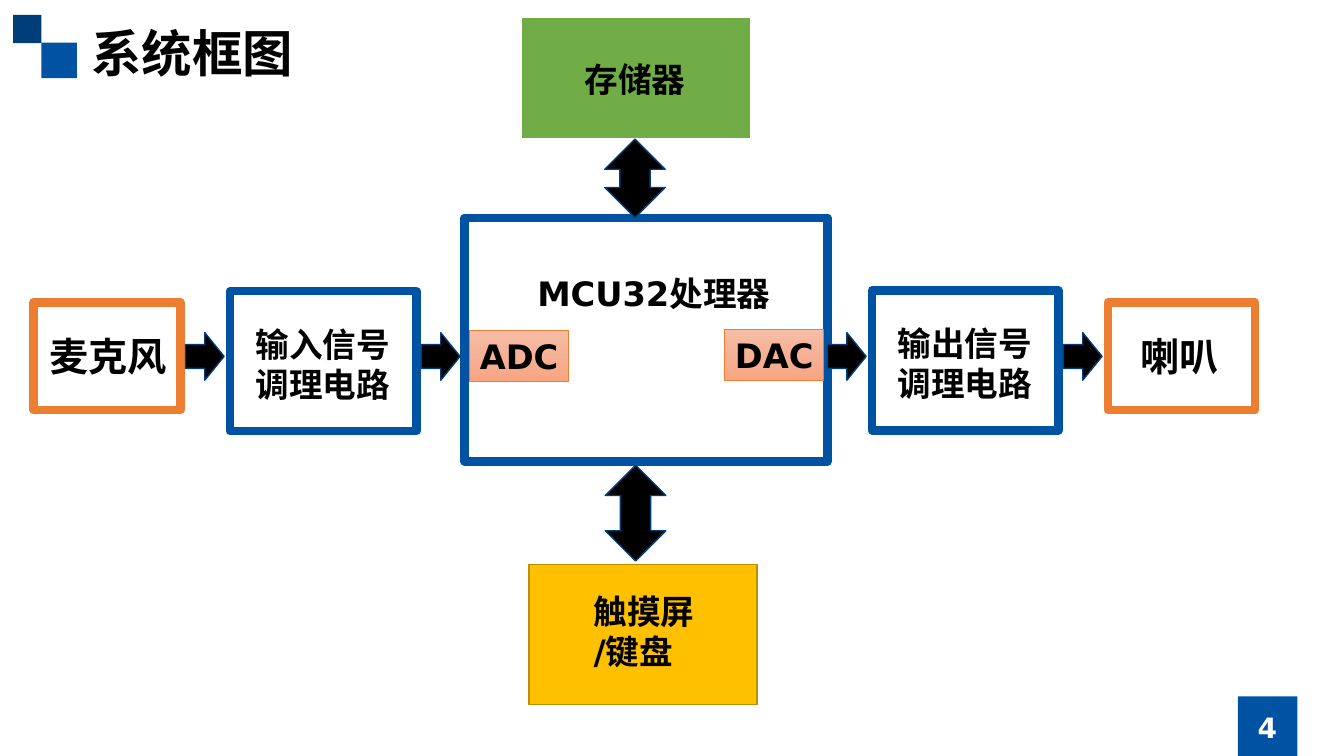
from copy import deepcopy

from lxml.etree import SubElement
from pptx import Presentation
from pptx.dml.color import RGBColor
from pptx.enum.shapes import MSO_SHAPE
from pptx.enum.text import MSO_ANCHOR, PP_ALIGN
from pptx.oxml.ns import qn
from pptx.util import Pt

COLORS = {
    "blue": "0053A3", "navy": "003E7A", "arrow_edge": "003D79",
    "orange": "ED7D31", "green": "70AD47", "yellow": "FFC000",
    "ochre": "BD8E00", "white": "FFFFFF", "black": "000000",
    "peach_light": "F7BDA5", "peach": "F5B196", "peach_dark": "F8A582",
}


def rgb(name):
    return RGBColor.from_string(COLORS[name])


def write_text(frame, text, size=24, color="black", font="DejaVu Sans",
               align=PP_ALIGN.LEFT, anchor=MSO_ANCHOR.TOP, wrap=False):
    frame.word_wrap = wrap
    frame.vertical_anchor = anchor
    for index, line in enumerate(text.split("\n")):
        paragraph = frame.add_paragraph() if index else frame.paragraphs[0]
        paragraph.alignment = align
        run = paragraph.add_run()
        run.text = line
        run.font.size = Pt(size)
        run.font.bold = True
        run.font.name = font
        run.font.color.rgb = rgb(color)
        east_asian = SubElement(run.font._element, qn("a:ea"))
        east_asian.set("typeface", "Noto Sans CJK SC")


class BlockDiagram:
    def __init__(self, slide):
        self.slide = slide

    def block(self, left, top, width, height, fill=None, edge=None,
              edge_width=6, preset=MSO_SHAPE.RECTANGLE):
        shape = self.slide.shapes.add_shape(
            preset, Pt(left), Pt(top), Pt(width), Pt(height))
        shape.shadow.inherit = False
        if fill:
            shape.fill.solid()
            shape.fill.fore_color.rgb = rgb(fill)
        if edge:
            shape.line.color.rgb = rgb(edge)
            shape.line.width = Pt(edge_width)
        else:
            shape.line.fill.background()
        return shape

    def label(self, left, top, width, height, text, **text_format):
        box = self.slide.shapes.add_textbox(
            Pt(left), Pt(top), Pt(width), Pt(height))
        write_text(box.text_frame, text, **text_format)

    def signal_arrow(self, left, top=237.6):
        self.block(left, top, 27.6, 34, "black", "arrow_edge", 1,
                   MSO_SHAPE.RIGHT_ARROW)

    def bus_arrow(self, left, top, length):
        """Vertical two-headed arrow; the place is that of the unturned shape."""
        arrow = self.block(left, top, length, 43.2, "black", "arrow_edge", 1,
                           MSO_SHAPE.LEFT_RIGHT_ARROW)
        arrow.rotation = 270

    def converter(self, left, top, text):
        """Peach gradient block for an on-chip converter."""
        chip = self.block(left, top, 70.6, 36.3, edge="orange", edge_width=0.5)
        chip.fill.gradient()
        chip.fill.gradient_angle = 270
        stop_list = chip._element.spPr.find(".//" + qn("a:gsLst"))
        stop_list.insert(1, deepcopy(stop_list[0]))
        shades = ("peach_light", "peach", "peach_dark")
        for index, (stop, shade) in enumerate(zip(chip.fill.gradient_stops, shades)):
            stop.position = index / 2
            stop.color.rgb = rgb(shade)
        write_text(chip.text_frame, text, align=PP_ALIGN.CENTER)


def build():
    deck = Presentation()
    deck.slide_width, deck.slide_height = Pt(960), Pt(540)
    diagram = BlockDiagram(deck.slides.add_slide(deck.slide_layouts[6]))

    # Title and page number
    diagram.block(29.5, 30.4, 25.4, 25.4, "blue")
    diagram.block(9.3, 10.6, 20.2, 20.2, "navy")
    diagram.block(884.2, 497.4, 42.6, 42.6, "blue")
    diagram.label(58.3, 12.2, 425.5, 51, "系统框图", size=36,
                  font="Noto Sans CJK SC", wrap=True)
    diagram.label(850.5, 505, 109.5, 29, "4", size=20, color="white", wrap=True,
                  align=PP_ALIGN.CENTER, anchor=MSO_ANCHOR.MIDDLE)

    # Sound devices at both ends
    for left, label_left, label_width, device in (
            (23.8, 28.1, 98.6, "麦克风"), (791.3, 807.8, 70.6, "喇叭")):
        diagram.block(left, 216, 105.1, 77, "white", "orange")
        diagram.label(label_left, 234, label_width, 41, device, size=28)

    # Conditioning circuits
    for left, top, circuit in ((164.2, 208.1, "输入信号\n调理电路"),
                               (622.8, 207.4, "输出信号\n调理电路")):
        diagram.block(left, top, 133.2, 100, "white", "blue")
        diagram.label(left + 11.2, top + 19.4, 110.4, 65.5, circuit)

    # Processor with its converters
    diagram.block(331.9, 155.5, 259.2, 174.2, "white", "blue")
    diagram.label(365.8, 191.5, 202.3, 36, "MCU32处理器",
                  align=PP_ALIGN.CENTER, wrap=True)
    diagram.converter(335.5, 236.2, "ADC")
    diagram.converter(517.7, 235.4, "DAC")

    # Peripherals above and below
    diagram.block(378, 403.2, 162.7, 100, "yellow", "ochre", 1)
    diagram.label(416.9, 418.3, 86.4, 65.5, "触摸屏\n/键盘")
    diagram.block(372.2, 12.2, 164.2, 87.1, "green", "white", 1.5)
    diagram.label(410.4, 38.2, 87.1, 36, "存储器", wrap=True)

    for left in (132.5, 301, 591.1, 759.6):
        diagram.signal_arrow(left)
    diagram.bus_arrow(419.8, 344.9, 68.4)
    diagram.bus_arrow(425.5, 105.8, 56.2)

    deck.save("out.pptx")


if __name__ == "__main__":
    build()
